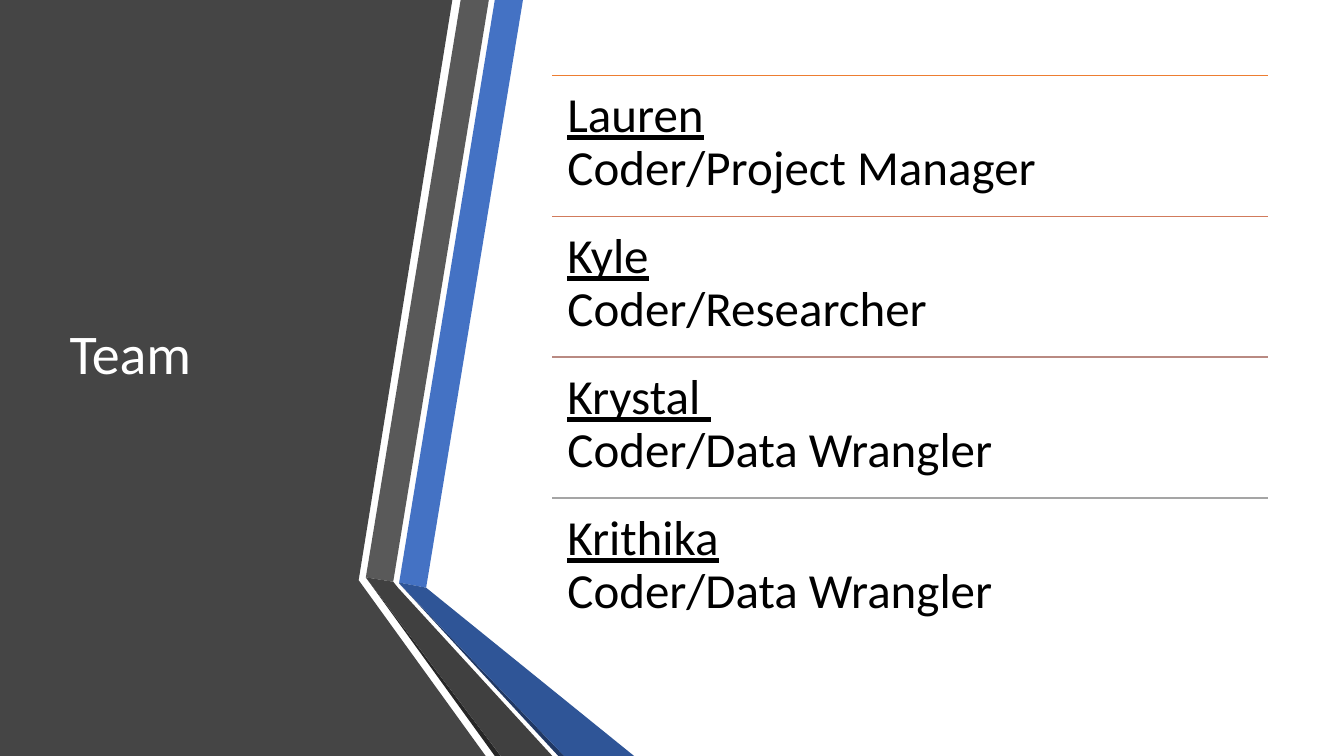
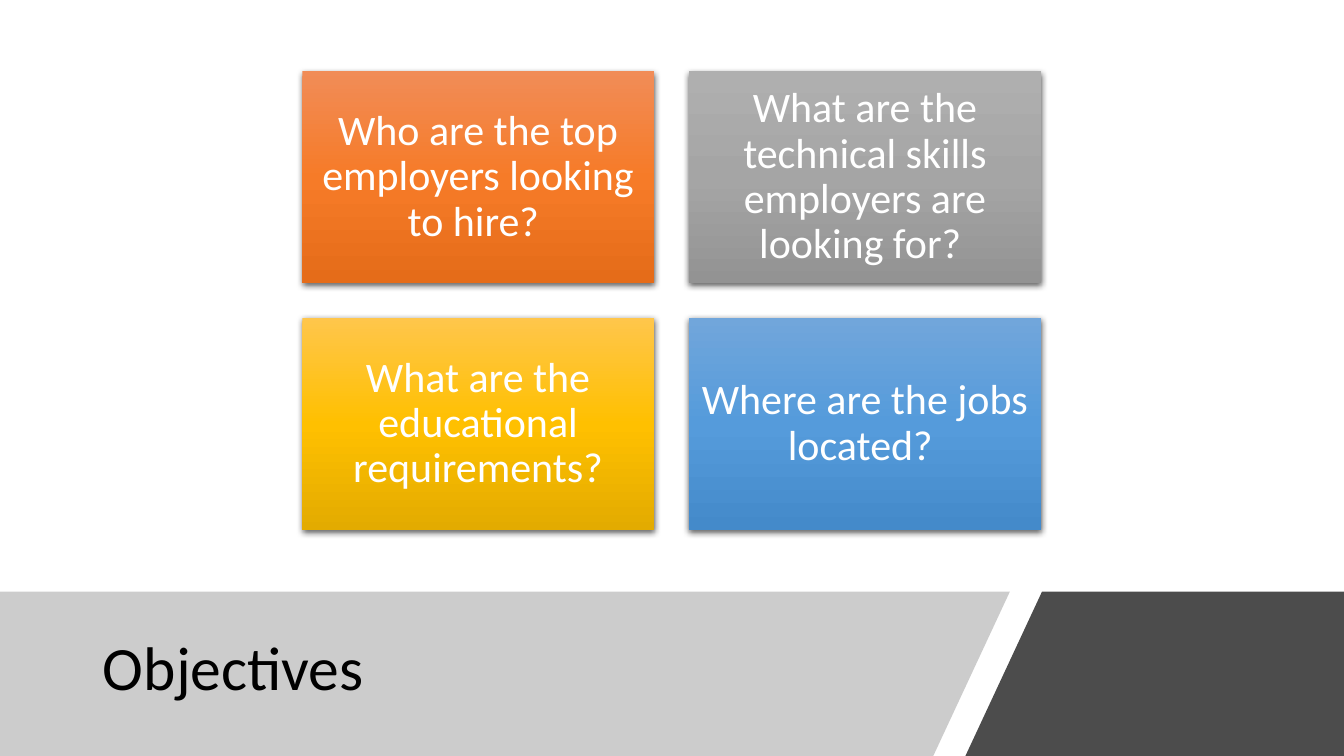
from copy import deepcopy
from dataclasses import dataclass

from lxml.etree import SubElement
from pptx import Presentation
from pptx.dml.color import RGBColor
from pptx.enum.shapes import MSO_CONNECTOR, MSO_SHAPE
from pptx.enum.text import MSO_ANCHOR, MSO_AUTO_SIZE, PP_ALIGN
from pptx.oxml.ns import qn
from pptx.util import Cm, Pt


@dataclass(frozen=True)
class Theme:
    font: str = "Calibri"
    white: str = "FFFFFF"
    black: str = "000000"
    slate: str = "454545"
    blue: str = "4472C4"
    deep: str = "2F5597"
    navy: str = "203864"
    gray: str = "595959"
    dark: str = "404040"
    coal: str = "262626"
    mid: str = "808080"
    rules: tuple = ("ED7D31", "D17B5C", "B98A82", "A5A5A5")
    fades: tuple = (
        ("F18C57", "F67B28", "E56C19"),
        ("AFAFAF", "A5A5A5", "939393"),
        ("FFC64B", "FFC000", "E3AB00"),
        ("71A6DB", "559BDB", "448ACA"),
    )
    side: int = 40
    head: int = 44
    row: int = 35
    card: int = 30


def rgb(code):
    return RGBColor.from_string(code)


def style(frame, size, color, align, anchor, inset=None):
    """Format all text of a frame; inset is the margin in cm on all sides."""
    frame.word_wrap = True
    frame.auto_size = MSO_AUTO_SIZE.NONE
    frame.vertical_anchor = anchor
    if inset is not None:
        frame.margin_left = frame.margin_right = Cm(inset)
        frame.margin_top = frame.margin_bottom = Cm(inset)
    for para in frame.paragraphs:
        para.alignment = align
        para.line_spacing = 0.9
        for run in para.runs:
            run.font.name = theme.font
            run.font.size = Pt(size)
            run.font.color.rgb = rgb(color)


theme = Theme()
WIDE, HIGH = 33.87, 19.05
BAND = 14.91

deck = Presentation()
deck.slide_width, deck.slide_height = Cm(WIDE), Cm(HIGH)

# Panels: colour, opacity in percent, corners in cm
side = [
    (theme.slate, 100,
     [(0, 0), (11.4, 0), (9.04, 14.62), (12.24, HIGH), (0, HIGH)]),
    (theme.blue, 100,
     [(10.06, 14.68), (10.74, 14.81), (13.18, 0), (12.47, 0)]),
    (theme.gray, 100,
     [(12.32, 0), (11.61, 0), (9.22, 14.55), (9.91, 14.66)]),
    (theme.coal, 100, [(9.22, 14.55), (12.47, HIGH), (12.62, HIGH)]),
    (theme.navy, 100, [(10.06, 14.7), (14.07, HIGH), (14.22, HIGH)]),
    (theme.deep, 100,
     [(10.06, 14.68), (10.06, 14.7), (14.22, HIGH), (15.98, HIGH),
      (10.74, 14.81)]),
    (theme.dark, 100,
     [(13.92, HIGH), (10.03, 14.81), (9.91, 14.66), (9.22, 14.55),
      (12.62, HIGH)]),
]
base = [
    (theme.mid, 40, [(0, BAND), (25.45, BAND), (23.52, HIGH), (0, HIGH)]),
    (theme.black, 70,
     [(26.26, BAND), (WIDE, BAND), (WIDE, HIGH), (24.33, HIGH)]),
]
plans = [
    ("Team", theme.side, theme.white, (1.5, 1.9, 7.72, 14.17), side),
    ("Objectives", theme.head, theme.black, (2.34, 15.37, 21.44, 3.05), base),
]

# Slides with their panels and titles
slides = []
for text, size, color, place, panels in plans:
    slide = deck.slides.add_slide(deck.slide_layouts[5])
    slides.append(slide)
    for fill, alpha, corners in panels:
        points = [(Cm(x), Cm(y)) for x, y in corners]
        pen = slide.shapes.build_freeform(*points[0])
        pen.add_line_segments(points[1:], close=True)
        panel = pen.convert_to_shape()
        panel.shadow.inherit = False
        panel.line.fill.background()
        panel.fill.solid()
        panel.fill.fore_color.rgb = rgb(fill)
        if alpha < 100:
            tint = panel._element.spPr.find(".//" + qn("a:srgbClr"))
            SubElement(tint, qn("a:alpha"), val=str(alpha * 1000))
    title = slide.shapes.title
    title.left, title.top, title.width, title.height = map(Cm, place)
    title.text_frame.text = text
    style(title.text_frame, size, color, PP_ALIGN.LEFT, MSO_ANCHOR.MIDDLE)
    slide.shapes._spTree.append(title._element)  # bring in front of panels

team, goals = slides

# Team rows
people = [
    ("Lauren", "Coder/Project Manager"),
    ("Kyle", "Coder/Researcher"),
    ("Krystal ", "Coder/Data Wrangler"),
    ("Krithika", "Coder/Data Wrangler"),
]
left, width, step = 13.92, 18.03, 3.55
for i, (name, role) in enumerate(people):
    top = 1.9 + i * step
    rule = team.shapes.add_connector(
        MSO_CONNECTOR.STRAIGHT, Cm(left), Cm(top), Cm(left + width), Cm(top))
    rule.line.color.rgb = rgb(theme.rules[i])
    rule.line.width = Pt(1)
    SubElement(rule._element.spPr, qn("a:effectLst"))
    box = team.shapes.add_textbox(Cm(left), Cm(top), Cm(width), Cm(step))
    box.text_frame.text = f"{name}\v{role}"
    style(box.text_frame, theme.row, theme.black, PP_ALIGN.LEFT,
          MSO_ANCHOR.TOP, 0.38)
    box.text_frame.paragraphs[0].runs[0].font.underline = True

# Objective cards
asks = [
    "Who are the top employers looking to hire? ",
    "What are the technical skills employers are looking for? ",
    "What are the educational requirements?",
    "Where are the jobs located? ",
]
width, height, gap = 8.86, 5.33, 0.89
for i, ask in enumerate(asks):
    row, col = divmod(i, 2)
    card = goals.shapes.add_shape(
        MSO_SHAPE.RECTANGLE,
        Cm(7.62 + col * (width + gap)), Cm(1.8 + row * (height + gap)),
        Cm(width), Cm(height))
    card.line.fill.background()
    card.fill.gradient()
    card.fill.gradient_angle = 270
    props = card._element.spPr
    stops = props.find(".//" + qn("a:gsLst"))
    stops.append(deepcopy(stops[0]))
    for stop, spot, shade in zip(
            card.fill.gradient_stops, (0, 0.5, 1), theme.fades[i]):
        stop.position = spot
        stop.color.rgb = rgb(shade)
    card.shadow.inherit = False
    shadow = SubElement(
        props.find(qn("a:effectLst")), qn("a:outerShdw"),
        blurRad=str(Pt(4.5)), dist=str(Pt(1.5)), dir="5400000",
        algn="ctr", rotWithShape="0")
    ink = SubElement(shadow, qn("a:srgbClr"), val=theme.black)
    SubElement(ink, qn("a:alpha"), val="63000")
    card.text_frame.text = ask
    style(card.text_frame, theme.card, theme.white, PP_ALIGN.CENTER,
          MSO_ANCHOR.MIDDLE, 0.3)

deck.save("out.pptx")
